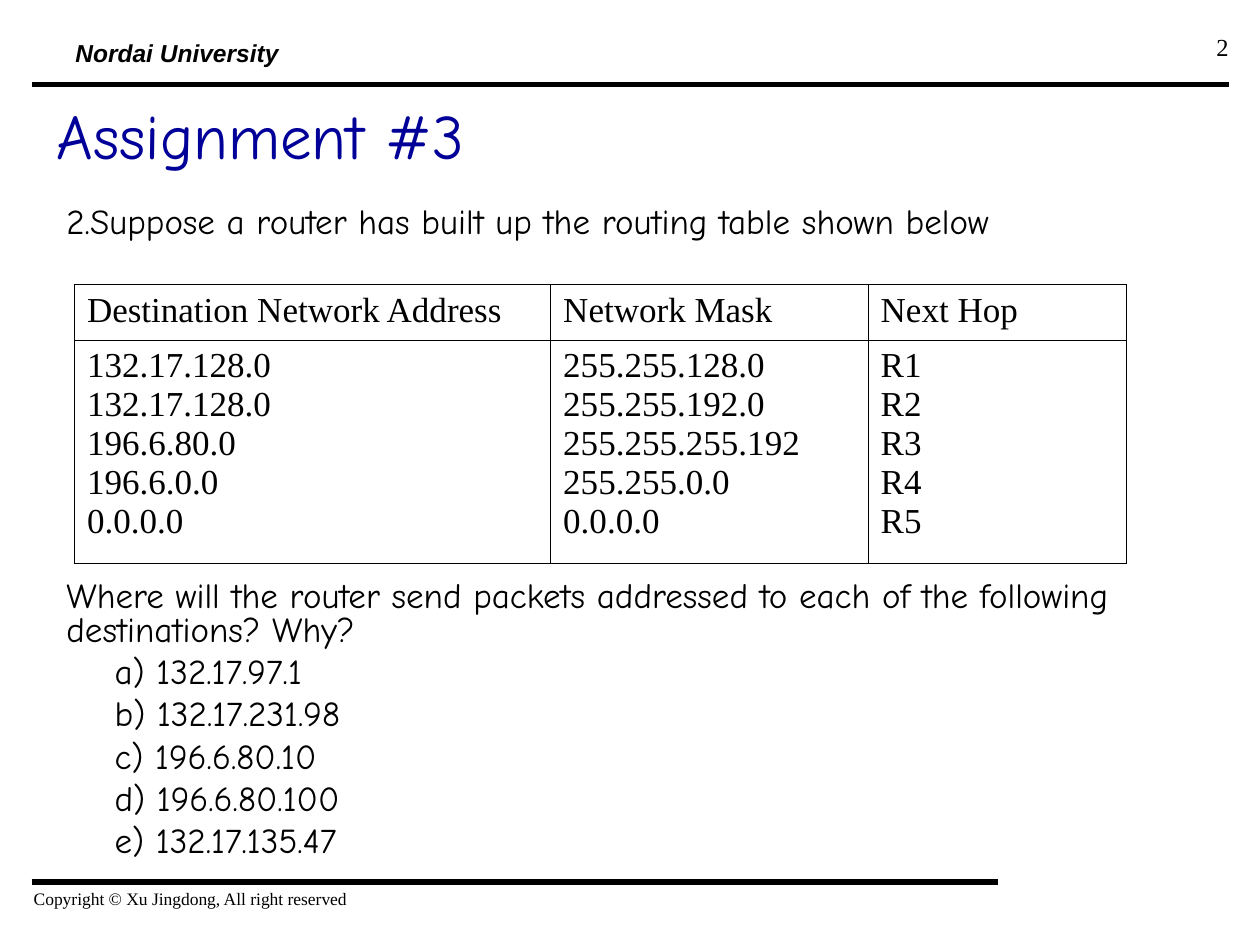
from dataclasses import dataclass

from lxml.etree import SubElement
from pptx import Presentation
from pptx.dml.color import RGBColor
from pptx.enum.shapes import MSO_CONNECTOR as Connector
from pptx.enum.text import MSO_ANCHOR as Anchor, PP_ALIGN as Align
from pptx.oxml.ns import qn
from pptx.util import Cm, Pt


@dataclass(frozen=True)
class Theme:
    ink: RGBColor = RGBColor(0, 0, 0)
    title_ink: RGBColor = RGBColor(0, 0, 0x99)
    hand: str = "Comic Neue"
    serif: str = "Times New Roman"
    sans: str = "Arial"
    title_size: int = 36
    body_size: int = 20
    mark_size: int = 14
    note_size: int = 10
    rule_width: float = 3
    border_width: float = 0.45


class SlideBuilder:
    def __init__(self, prs, theme):
        self.theme = theme
        self.slide = prs.slides.add_slide(prs.slide_layouts[5])

    def fill_text(self, tf, lines, font, **layout):
        for i, line in enumerate(lines):
            p = tf.paragraphs[0] if i == 0 else tf.add_paragraph()
            for name, value in layout.items():
                setattr(p, name, value)
            r = p.add_run()
            r.text = line
            for name, value in font.items():
                if name == "color":
                    r.font.color.rgb = value
                else:
                    setattr(r.font, name, value)
        return tf.paragraphs

    def font(self, name, size, **extra):
        return {"name": name, "size": Pt(size), "color": self.theme.ink, **extra}

    def title(self, text, left, top, width, height):
        sp = self.slide.shapes.title
        box = {"left": left, "top": top, "width": width, "height": height}
        for name, value in box.items():
            setattr(sp, name, Cm(value))
        sp.text_frame.vertical_anchor = Anchor.MIDDLE
        font = self.font(self.theme.hand, self.theme.title_size)
        font["color"] = self.theme.title_ink
        self.fill_text(sp.text_frame, [text], font, alignment=Align.LEFT)

    def text(self, lines, left, top, width, height, font, wrap=True, **layout):
        sp = self.slide.shapes.add_textbox(Cm(left), Cm(top), Cm(width), Cm(height))
        sp.text_frame.word_wrap = wrap
        return self.fill_text(sp.text_frame, lines, font, **layout)

    def rule(self, left, right, y):
        line = self.slide.shapes.add_connector(
            Connector.STRAIGHT, Cm(left), Cm(y), Cm(right), Cm(y))
        line.line.color.rgb = self.theme.ink
        line.line.width = Pt(self.theme.rule_width)
        SubElement(line._element.spPr, qn("a:effectLst"))

    def border(self, cell):
        tc_pr = cell._tc.get_or_add_tcPr()
        for side in ("a:lnL", "a:lnR", "a:lnT", "a:lnB"):
            ln = SubElement(tc_pr, qn(side), w=str(Pt(self.theme.border_width)))
            fill = SubElement(ln, qn("a:solidFill"))
            SubElement(fill, qn("a:srgbClr"), val=str(self.theme.ink))

    def table(self, rows, left, top, widths, heights):
        table = self.slide.shapes.add_table(
            len(rows), len(widths), Cm(left), Cm(top),
            Cm(sum(widths)), Cm(sum(heights))).table
        table.first_row = table.horz_banding = False
        for column, width in zip(table.columns, widths):
            column.width = Cm(width)
        font = self.font(self.theme.serif, self.theme.body_size)
        for row, height, cells in zip(table.rows, heights, rows):
            row.height = Cm(height)
            for cell, lines in zip(row.cells, cells):
                self.fill_text(cell.text_frame, lines, font)
                self.border(cell)
                cell.fill.background()


def main():
    prs = Presentation()
    prs.slide_width, prs.slide_height = Cm(25.4), Cm(19.05)
    theme = Theme()
    s = SlideBuilder(prs, theme)

    s.rule(0.64, 20.12, 17.78)
    s.rule(0.64, 24.77, 1.7)
    s.text(["Nordai University"], 1.27, 0.81, 4.65, 0.69,
           s.font(theme.sans, theme.mark_size, bold=True, italic=True),
           wrap=False, line_spacing=0.7, space_before=Pt(3.5))
    s.text(["Copyright © Xu Jingdong, All right reserved"], 0.43, 17.78, 9.73, 0.84,
           s.font(theme.serif, theme.note_size))
    s.text(["2"], 19.1, 0.53, 5.92, 1.32,
           s.font(theme.serif, theme.mark_size), alignment=Align.RIGHT)
    s.title("Assignment #3", 0.89, 1.7, 22.6, 2.03)

    body = s.font(theme.hand, theme.body_size)
    s.text(["2.Suppose a router has built up the routing table shown below"],
           1.09, 3.73, 23.2, 1.3, body, line_spacing=1.2)

    routes = [
        ("132.17.128.0", "255.255.128.0", "R1"),
        ("132.17.128.0", "255.255.192.0", "R2"),
        ("196.6.80.0", "255.255.255.192", "R3"),
        ("196.6.0.0", "255.255.0.0", "R4"),
        ("0.0.0.0", "0.0.0.0", "R5"),
    ]
    header = [["Destination Network Address"], ["Network Mask"], ["Next Hop"]]
    s.table([header, list(zip(*routes))], 1.5, 5.74, [9.6, 6.4, 5.2], [1.12, 4.5])

    question = ("Where will the router send packets addressed to each of "
                "the following destinations? Why?")
    destinations = ["132.17.97.1", "132.17.231.98", "196.6.80.10",
                    "196.6.80.100", "132.17.135.47"]
    items = [f"{letter}) {address}" for letter, address in zip("abcde", destinations)]
    paragraphs = s.text([question, *items], 1.09, 11.6, 23.2, 6.1, body,
                        line_spacing=0.8, space_before=Pt(5))
    for p in paragraphs[1:]:
        p._p.get_or_add_pPr().set("marL", str(Cm(0.97)))

    prs.save("out.pptx")


if __name__ == "__main__":
    main()
